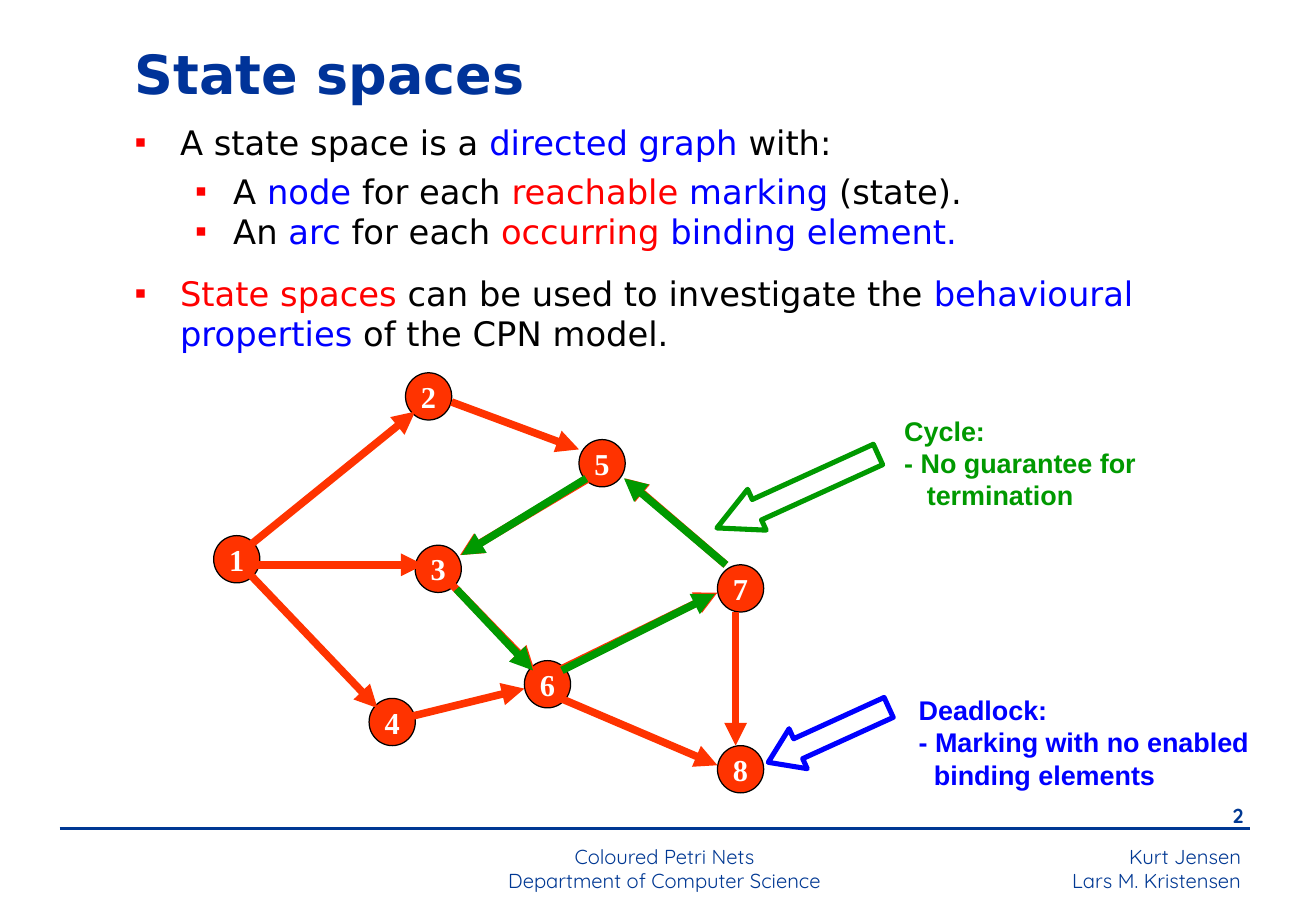
import pptx
import pptx.util
import pptx.dml.color
import pptx.enum.shapes
import pptx.enum.text
import pptx.oxml.ns
from lxml import etree

Pt = pptx.util.Pt
SHAPE = pptx.enum.shapes.MSO_SHAPE
ALIGN = pptx.enum.text.PP_ALIGN
ANCHOR = pptx.enum.text.MSO_ANCHOR

NAVY, BLUE, RED = "003893", "0000FF", "FF0000"
BLACK, WHITE, GREEN, FLAME = "000000", "FFFFFF", "009900", "FF3300"
DISC = (27.4, 28)
NODES = {
    1: (0, 96.5), 2: (113.8, 0), 3: (119.5, 102.2), 4: (92.2, 193),
    5: (216.7, 39.6), 6: (184.3, 170.6), 7: (298.8, 113.8), 8: (298.8, 221),
}
ARCS = [
    (21.6, 102.2, 119.5, 23), (21.6, 113.8, 124.6, 113.8),
    (141.1, 17.3, 216.7, 45.4), (21.6, 119.5, 97.2, 198.7),
    (205.9, 175.7, 298.8, 130.3), (113.8, 204.5, 184.3, 187.2),
    (303.8, 113.8, 244.1, 62.6), (222.5, 62.6, 146.2, 108),
    (309.6, 141.8, 309.6, 221), (205.9, 193, 298.8, 232.6),
    (141.1, 125.3, 190.1, 175.7),
]
CYCLE = [
    (221, 62.6, 146.9, 108), (303.8, 113.8, 243.4, 62.6),
    (206.6, 176.4, 297.4, 131), (144, 128.2, 189.4, 176.4),
]
POINTS = [
    (0, 5, [("A state space is a ", BLACK), ("directed graph ", BLUE),
            ("with:", BLACK)]),
    (1, 5, [("A ", BLACK), ("node", BLUE), (" for each ", BLACK),
            ("reachable ", RED), ("marking", BLUE), (" (state).", BLACK)]),
    (1, 0, [("An ", BLACK), ("arc", BLUE), (" for each ", BLACK),
            ("occurring ", RED), ("binding element.", BLUE)]),
    (0, 12.5, [("State spaces", RED),
               (" can be used to investigate the ", BLACK),
               ("behavioural properties", BLUE),
               (" of the CPN model.", BLACK)]),
]


def paint(text):
    """Turn a hex string into a colour."""
    return pptx.dml.color.RGBColor.from_string(text)


def write(frame, paras, size=12, font="Quicksand", color=NAVY, bold=False,
          align=ALIGN.LEFT, anchor=ANCHOR.TOP, wrap=True):
    """Fill a text frame with paragraphs of (text, colour) runs."""
    frame.word_wrap, frame.vertical_anchor = wrap, anchor
    for i, runs in enumerate(paras):
        para = frame.add_paragraph() if i else frame.paragraphs[0]
        para.alignment = align
        for words, hue in [(runs, color)] if isinstance(runs, str) else runs:
            run = para.add_run()
            run.text = words
            run.font.size, run.font.name, run.font.bold = Pt(size), font, bold
            run.font.color.rgb = paint(hue)
    return frame.paragraphs


def label(slide, box, paras, **form):
    """Add a text box."""
    area = slide.shapes.add_textbox(*map(Pt, box))
    return write(area.text_frame, paras, **form)


def shape(slide, kind, box, fill, line, width):
    """Add a preset shape with flat fill and outline."""
    item = slide.shapes.add_shape(kind, *map(Pt, box))
    item.shadow.inherit = False
    item.fill.solid()
    item.fill.fore_color.rgb = paint(fill)
    item.line.color.rgb = paint(line)
    item.line.width = Pt(width)
    return item


def child(node, tag, **attrs):
    """Append a drawing element."""
    return etree.SubElement(node, pptx.oxml.ns.qn(tag), **attrs)


def rule(slide, ends, color, width, arrow=False):
    """Add a straight line, with an arrowhead on demand."""
    kind = pptx.enum.shapes.MSO_CONNECTOR.STRAIGHT
    item = slide.shapes.add_connector(kind, *map(Pt, ends))
    item.line.color.rgb = paint(color)
    item.line.width = Pt(width)
    if arrow:
        child(item.line._get_or_add_ln(), "a:tailEnd", type="triangle")
    child(item._element.spPr, "a:effectLst")


def indent(para, left, first):
    """Set the left margin and first-line indent."""
    props = para._p.get_or_add_pPr()
    props.set("marL", str(Pt(left)))
    props.set("indent", str(Pt(first)))
    return props


def points(slide, box):
    """Place the bulleted statements."""
    paras = label(slide, box, [runs for _, _, runs in POINTS],
                  size=20, font="DejaVu Sans")
    for para, (level, gap, _) in zip(paras, POINTS):
        para.level, para.space_before = level, Pt(gap)
        left, hang = [(27, 27), (58.5, 22.5)][level]
        props = indent(para, left, -hang)
        child(child(props, "a:buClr"), "a:srgbClr", val=RED)
        child(props, "a:buFont", typeface="Arial")
        child(props, "a:buChar", char="▪")


def graph(slide, x, y):
    """Draw the state space with its cycle on top."""
    for name, (dx, dy) in NODES.items():
        disc = shape(slide, SHAPE.OVAL, (x + dx, y + dy, *DISC),
                     FLAME, BLACK, 0.75)
        write(disc.text_frame, [str(name)], size=18, font="Times New Roman",
              color=WHITE, bold=True, align=ALIGN.CENTER,
              anchor=ANCHOR.MIDDLE, wrap=False)
    for arcs, color in ((ARCS, FLAME), (CYCLE, GREEN)):
        for ax, ay, bx, by in arcs:
            rule(slide, (x + ax, y + ay, x + bx, y + by), color, 4.5, True)


def note(slide, box, paras, color, shift, arrow, head):
    """Place a remark and the block arrow to its left."""
    x, y = box[:2]
    lines = label(slide, box, paras, size=16, font="Arial", color=color,
                  bold=True)
    indent(lines[-1], shift, 0)
    dx, dy, w, h = arrow
    item = shape(slide, SHAPE.LEFT_ARROW, (x + dx, y + dy, w, h),
                 WHITE, color, 3)
    item.adjustments[0], item.adjustments[1] = 0.5, head
    item.rotation = 335.5


def footer(slide, x, y, w):
    """Place the rule, page number, course and authors."""
    rule(slide, (x, y, x + w, y), NAVY, 1.5)
    label(slide, (x + w - 48, y - 18.7, 51, 24), ["2"], bold=True,
          align=ALIGN.RIGHT)
    label(slide, (x + 210.2, y + 5.8, 297.4, 34),
          ["Coloured Petri Nets", "Department of Computer Science"],
          align=ALIGN.CENTER)
    label(slide, (x + w - 241, y + 5.8, 242.6, 36),
          ["Kurt Jensen", "Lars M. Kristensen"], align=ALIGN.RIGHT)


def build():
    """Build and save the deck."""
    deck = pptx.Presentation()
    deck.slide_width, deck.slide_height = Pt(780.48), Pt(540)
    slide = deck.slides.add_slide(deck.slide_layouts[6])
    footer(slide, 35.3, 491, 706.3)
    label(slide, (72.7, 20.2, 520, 46), ["State spaces"], size=32,
          font="DejaVu Sans", color="003399", bold=True,
          anchor=ANCHOR.MIDDLE)
    points(slide, (72.7, 68.4, 682.6, 150.5))
    graph(slide, 126.7, 221)
    note(slide, (537.8, 407.5, 215.3, 65),
         ["Deadlock:", "- Marking with no enabled", "binding elements"],
         BLUE, 9, (-85.7, 15.1, 78.5, 26), 0.75)
    note(slide, (529.2, 241.9, 152.6, 65),
         ["Cycle:", "- No guarantee for", "termination"],
         GREEN, 13.4, (-108.7, 36, 105, 26.6), 0.98)
    deck.save("out.pptx")


build()
